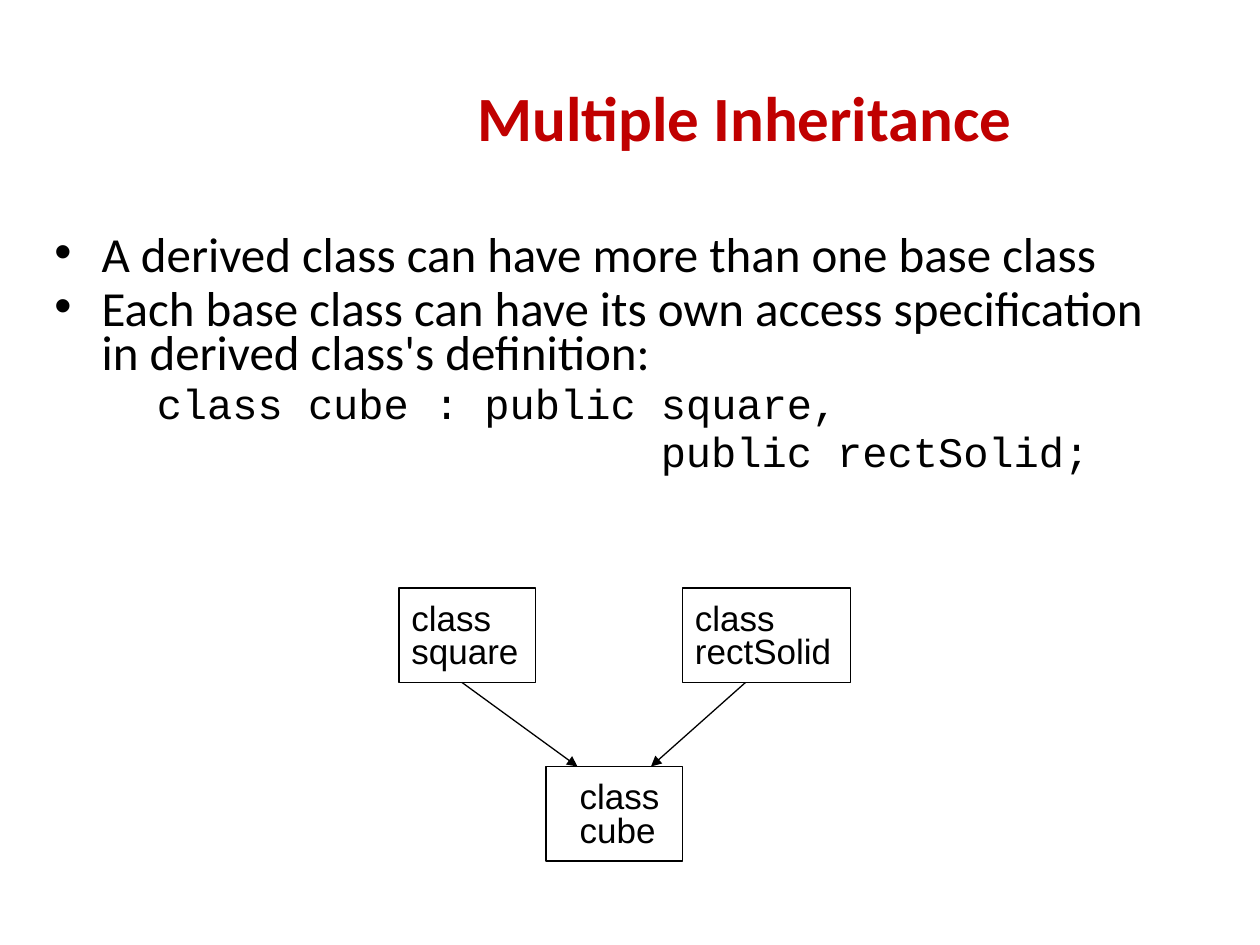
from dataclasses import dataclass

from lxml import etree
from pptx import Presentation
from pptx.dml.color import RGBColor
from pptx.enum import shapes, text
from pptx.oxml import ns
from pptx.util import Pt


@dataclass(frozen=True)
class Theme:
    accent: RGBColor = RGBColor(0xC0, 0x00, 0x00)
    ink: RGBColor = RGBColor(0x00, 0x00, 0x00)
    prose_font: str = "Calibri"
    code_font: str = "Courier New"
    label_font: str = "Arial"
    title_size: float = 36
    prose_size: float = 28
    code_size: float = 24
    label_size: float = 20
    rule: float = 0.75


class SlideBuilder:
    def __init__(self, slide, theme):
        self.slide = slide
        self.theme = theme

    def run(self, paragraph, words, font, size, color=None, bold=False):
        run = paragraph.add_run()
        run.text = words
        run.font.name = font
        run.font.size = Pt(size)
        run.font.bold = bold
        run.font.color.rgb = color or self.theme.ink

    def title(self, words, left, top, width, height):
        heading = self.slide.shapes.title
        heading.left, heading.top = Pt(left), Pt(top)
        heading.width, heading.height = Pt(width), Pt(height)
        frame = heading.text_frame
        frame.vertical_anchor = text.MSO_ANCHOR.MIDDLE
        paragraph = frame.paragraphs[0]
        paragraph.alignment = text.PP_ALIGN.CENTER
        self.run(paragraph, words, self.theme.prose_font,
                 self.theme.title_size, self.theme.accent, True)

    def body(self, points, code, left, top, width, height):
        frame = self.slide.shapes.add_textbox(
            Pt(left), Pt(top), Pt(width), Pt(height)).text_frame
        frame.word_wrap = True
        theme = self.theme
        rows = [(words, 27, True, theme.prose_font, theme.prose_size)
                for words in points]
        rows += [(words, indent, False, theme.code_font, theme.code_size)
                 for words, indent in code]
        for index, (words, indent, bulleted, font, size) in enumerate(rows):
            paragraph = frame.add_paragraph() if index else frame.paragraphs[0]
            paragraph.line_spacing = 0.75
            paragraph.space_before = Pt(5.6)
            properties = paragraph._p.get_or_add_pPr()
            properties.set("marL", str(Pt(indent)))
            if bulleted:
                properties.set("indent", str(-Pt(indent)))
                face = etree.SubElement(properties, ns.qn("a:buFont"))
                face.set("typeface", theme.label_font)
                etree.SubElement(properties, ns.qn("a:buChar")).set("char", "•")
            self.run(paragraph, words, font, size)

    def class_box(self, name, left, top, width, height, inset=7.2):
        box = self.slide.shapes.add_shape(
            shapes.MSO_SHAPE.RECTANGLE, Pt(left), Pt(top), Pt(width), Pt(height))
        box.shadow.inherit = False
        box.fill.background()
        box.line.color.rgb = self.theme.ink
        box.line.width = Pt(self.theme.rule)
        frame = box.text_frame
        frame.word_wrap = True
        frame.vertical_anchor = text.MSO_ANCHOR.TOP
        frame.margin_left, frame.margin_top = Pt(inset), Pt(9.4)
        frame.margin_right = frame.margin_bottom = 0
        for index, words in enumerate(("class", name)):
            paragraph = frame.add_paragraph() if index else frame.paragraphs[0]
            paragraph.alignment = text.PP_ALIGN.LEFT
            paragraph.line_spacing = 0.8
            self.run(paragraph, words, self.theme.label_font,
                     self.theme.label_size)

    def arrow(self, start_x, start_y, end_x, end_y):
        arrow = self.slide.shapes.add_connector(
            shapes.MSO_CONNECTOR.STRAIGHT,
            Pt(start_x), Pt(start_y), Pt(end_x), Pt(end_y))
        arrow.line.color.rgb = self.theme.ink
        arrow.line.width = Pt(self.theme.rule)
        head = etree.SubElement(arrow.line._get_or_add_ln(), ns.qn("a:tailEnd"))
        head.set("type", "triangle")
        etree.SubElement(arrow._element.spPr, ns.qn("a:effectLst"))


def main():
    deck = Presentation()
    deck.slide_width, deck.slide_height = Pt(720), Pt(540)
    builder = SlideBuilder(deck.slides.add_slide(deck.slide_layouts[5]), Theme())

    builder.title("Multiple Inheritance", 167, 21.6, 517, 90)
    builder.body(
        ["A derived class can have more than one base class",
         "Each base class can have its own access specification "
         "in derived class's definition:"],
        [("class cube : public square,", 58.5), ("public rectSolid;", 346.5)],
        24, 132, 654, 168)

    base_top, derived_top, box_height = 336, 438, 54
    derived_left = 312
    bases = [("square", 228, 78, 18), ("rectSolid", 390, 96, 60)]
    builder.class_box("cube", derived_left, derived_top, 78, box_height, 19.2)
    for name, left, width, landing in bases:
        builder.class_box(name, left, base_top, width, box_height)
        builder.arrow(left + 36, base_top + box_height,
                      derived_left + landing, derived_top)

    deck.save("out.pptx")


if __name__ == "__main__":
    main()
